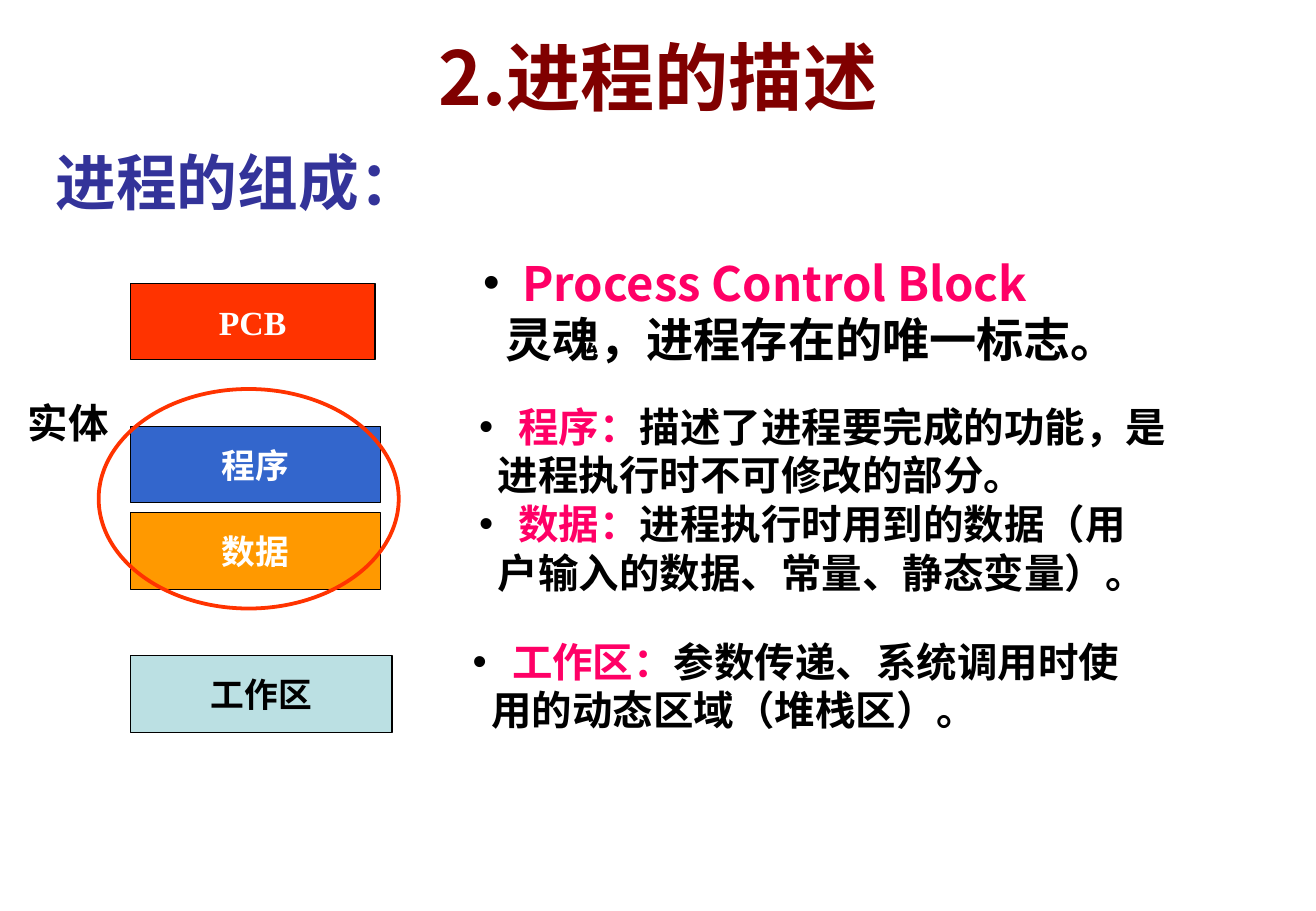
"""Build the slide on how a process is described and what it is made of."""
from dataclasses import dataclass

from lxml.etree import SubElement
from pptx import Presentation
from pptx.dml.color import RGBColor as Rgb
from pptx.enum.shapes import MSO_SHAPE as Shape
from pptx.enum.text import MSO_ANCHOR as Anchor, PP_ALIGN as Align
from pptx.oxml.ns import qn
from pptx.util import Emu, Inches, Pt


@dataclass(frozen=True)
class Theme:
    cjk: str = "Noto Sans CJK SC"
    sans: str = "Arial"
    serif: str = "Times New Roman"
    title: str = "800000"
    head: str = "333399"
    key: str = "FF0066"
    ink: str = "000000"
    pale: str = "FFFFFF"
    red: str = "FF3300"
    blue: str = "3366CC"
    gold: str = "FF9900"
    aqua: str = "BBE0E3"
    huge: int = 44
    large: int = 36
    mid: int = 28
    body: int = 24
    small: int = 20
    pitch: float = 1.2


@dataclass(frozen=True)
class Area:
    """Left, top, width and height in percent of the slide."""
    left: float
    top: float
    width: float
    height: float


@dataclass(frozen=True)
class Block:
    text: str
    top: float
    width: float
    fill: str
    color: str


@dataclass(frozen=True)
class Line:
    text: str
    key: str = ""


@dataclass(frozen=True)
class Note:
    area: Area
    lines: tuple[Line, ...]
    size: int


LOOK = Theme()
WIDTH, HEIGHT = Inches(10.84), Inches(7.5)
LEFT, TALL = 9.9, 8.4
HANG, STEP = 3, 0.06

BLOCKS = (
    Block("PCB", 31.1, 18.6, LOOK.red, LOOK.pale),
    Block("数据", 56.3, 19, LOOK.gold, LOOK.pale),
    Block("程序", 46.8, 19, LOOK.blue, LOOK.pale),
    Block("工作区", 72, 19.9, LOOK.aqua, LOOK.ink),
)
NOTES = (
    Note(Area(35.8, 26.9, 59.1, 13.9), (
        Line("", "Process Control Block"),
        Line("灵魂，进程存在的唯一标志。"),
    ), LOOK.mid),
    Note(Area(35.5, 43.1, 62.1, 22.7), (
        Line("描述了进程要完成的功能，是", "程序："),
        Line("进程执行时不可修改的部分。"),
        Line("进程执行时用到的数据（用", "数据："),
        Line("户输入的数据、常量、静态变量）。"),
    ), LOOK.body),
    Note(Area(35, 68.9, 62.5, 12), (
        Line("参数传递、系统调用时使", "工作区："),
        Line("用的动态区域（堆栈区）。"),
    ), LOOK.body),
)
RING = Area(7.5, 42.7, 22.8, 24.1)
LABEL = Note(Area(1.2, 42.7, 9.4, 6.7), (Line("实体"),), LOOK.body)


def across(share: float) -> Emu:
    return Emu(round(WIDTH * share / 100))


def down(share: float) -> Emu:
    return Emu(round(HEIGHT * share / 100))


def frame(area: Area) -> tuple[Emu, Emu, Emu, Emu]:
    return across(area.left), down(area.top), across(area.width), down(area.height)


def place(item, area: Area) -> None:
    item.left, item.top, item.width, item.height = frame(area)


def style(run, size: int, color: str, face: str) -> None:
    run.font.size, run.font.bold, run.font.name = Pt(size), True, face
    run.font.color.rgb = Rgb.from_string(color)
    SubElement(run.font._element, qn("a:ea"), typeface=LOOK.cjk)


def indent(para, left: float, first: float) -> None:
    props = para._p.get_or_add_pPr()
    props.set("marL", str(across(left)))
    props.set("indent", str(across(first)))


def pace(para, size: int) -> None:
    para.line_spacing = Pt(size * LOOK.pitch)
    para.space_before = Pt(0)


def bullet(para) -> None:
    props = para._p.get_or_add_pPr()
    SubElement(SubElement(props, qn("a:buClr")), qn("a:srgbClr"), val=LOOK.ink)
    SubElement(props, qn("a:buFont"), typeface=LOOK.sans)
    SubElement(props, qn("a:buChar"), char="•")


def add_note(slide, note: Note, inset: bool = True) -> None:
    text = slide.shapes.add_textbox(*frame(note.area)).text_frame
    text.word_wrap = True
    text.margin_top = down(1)
    text.text = "\n".join(line.key or line.text for line in note.lines)
    for para, line in zip(text.paragraphs, note.lines):
        pace(para, note.size)
        if line.key:
            indent(para, HANG, -HANG)
            bullet(para)
            style(para.runs[0], note.size, LOOK.key, LOOK.cjk)
            if line.text:
                rest = para.add_run()
                rest.text = line.text
                style(rest, note.size, LOOK.ink, LOOK.cjk)
        else:
            indent(para, note.size * STEP if inset else 0, 0)
            style(para.runs[0], note.size, LOOK.ink, LOOK.cjk)


def add_block(slide, block: Block) -> None:
    area = Area(LEFT, block.top, block.width, TALL)
    box = slide.shapes.add_shape(Shape.RECTANGLE, *frame(area))
    box.shadow.inherit = False
    box.fill.solid()
    box.fill.fore_color.rgb = Rgb.from_string(block.fill)
    box.line.color.rgb = Rgb.from_string(LOOK.ink)
    box.line.width = Pt(0.75)
    text = box.text_frame
    text.word_wrap, text.vertical_anchor = False, Anchor.MIDDLE
    text.text = block.text
    text.paragraphs[0].alignment = Align.CENTER
    style(text.paragraphs[0].runs[0], LOOK.small, block.color, LOOK.serif)


def add_ring(slide) -> None:
    ring = slide.shapes.add_shape(Shape.OVAL, *frame(RING))
    ring.shadow.inherit = False
    ring.fill.background()
    ring.line.color.rgb = Rgb.from_string(LOOK.red)
    ring.line.width = Pt(2.25)


def fill_heads(slide) -> None:
    title, body = slide.placeholders
    place(title, Area(5, 0, 90, 16.7))
    title.text_frame.text = "2.进程的描述"
    title.text_frame.vertical_anchor = Anchor.MIDDLE
    para = title.text_frame.paragraphs[0]
    para.alignment = Align.CENTER
    style(para.runs[0], LOOK.huge, LOOK.title, LOOK.cjk)
    place(body, Area(3.3, 14.9, 94.2, 66))
    body.text_frame.text = "进程的组成："
    body.text_frame.margin_top = down(1)
    para = body.text_frame.paragraphs[0]
    pace(para, LOOK.large)
    indent(para, 3.5, -3.5)
    SubElement(para._p.get_or_add_pPr(), qn("a:buNone"))
    style(para.runs[0], LOOK.large, LOOK.head, LOOK.sans)


def main() -> None:
    deck = Presentation()
    deck.slide_width, deck.slide_height = WIDTH, HEIGHT
    slide = deck.slides.add_slide(deck.slide_layouts[1])
    fill_heads(slide)
    for block in BLOCKS:
        add_block(slide, block)
    for note in NOTES:
        add_note(slide, note)
    add_ring(slide)
    add_note(slide, LABEL, inset=False)
    deck.save("out.pptx")


if __name__ == "__main__":
    main()
